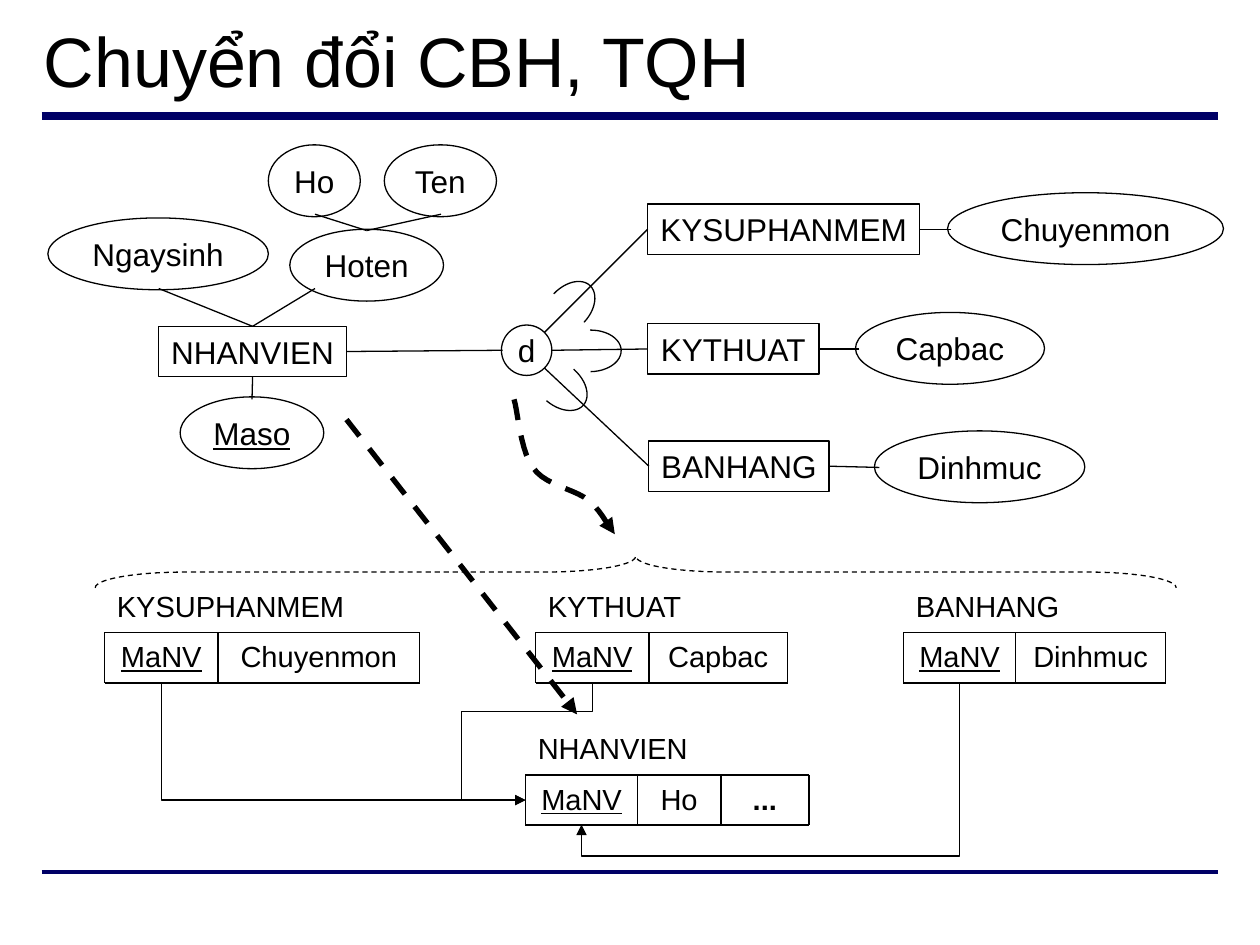
from lxml import etree
from pptx import Presentation
from pptx.dml.color import RGBColor
from pptx.enum.dml import MSO_LINE
from pptx.enum.shapes import MSO_CONNECTOR, MSO_SHAPE
from pptx.enum.text import MSO_ANCHOR, PP_ALIGN
from pptx.oxml.ns import qn
from pptx.util import Inches, Pt

BLACK = RGBColor(0, 0, 0)
WHITE = RGBColor(255, 255, 255)
NAVY = RGBColor(0, 0, 0x66)
DASH = MSO_LINE.DASH
STRAIGHT, ELBOW = MSO_CONNECTOR.STRAIGHT, MSO_CONNECTOR.ELBOW
RECTANGLE, OVAL = MSO_SHAPE.RECTANGLE, MSO_SHAPE.OVAL
ARC, BRACE = MSO_SHAPE.ARC, MSO_SHAPE.LEFT_BRACE
TOP, MIDDLE = MSO_ANCHOR.TOP, MSO_ANCHOR.MIDDLE
LEFT, CENTER = PP_ALIGN.LEFT, PP_ALIGN.CENTER
SIDE_TOP, SIDE_LEFT, SIDE_BOTTOM, SIDE_RIGHT = range(4)

presentation = Presentation()
presentation.slide_width = Inches(10)
presentation.slide_height = Inches(7.5)
slide = presentation.slides.add_slide(presentation.slide_layouts[6])
shapes = slide.shapes
COLUMN = presentation.slide_width / 100
ROW = presentation.slide_height / 75


def write(shape, text, size, align=CENTER, anchor=MIDDLE, wrap=True, underline=None, bold=None):
    frame = shape.text_frame
    frame.word_wrap = wrap
    frame.vertical_anchor = anchor
    paragraph = frame.paragraphs[0]
    paragraph.alignment = align
    run = paragraph.add_run()
    run.text = text
    style = {"name": "Arial", "size": Pt(size), "underline": underline, "bold": bold}
    for attribute, value in style.items():
        setattr(run.font, attribute, value)
    run.font.color.rgb = BLACK


def outline(shape, width, color=BLACK, dash=None, arrow=False):
    shape.line.color.rgb = color
    shape.line.width = Pt(width)
    if dash:
        shape.line.dash_style = dash
    properties = shape._element.spPr
    if arrow:
        etree.SubElement(properties.find(qn("a:ln")), qn("a:tailEnd"), type="triangle")
    etree.SubElement(properties, qn("a:effectLst"))


title = shapes.add_textbox(*(round(v) for v in (2.5 * COLUMN, 1.8 * ROW, 95 * COLUMN, 5.8 * ROW)))
write(title, "Chuyển đổi CBH, TQH", 40, align=LEFT)

nodes = {}
for kind, text, left, top, width, height in [
    (RECTANGLE, "BANHANG", 51.5, 35, 14.3, 4),
    (OVAL, "Dinhmuc", 69.4, 34.2, 16.7, 5.7),
    (RECTANGLE, "KYTHUAT", 51.4, 25.7, 13.6, 4),
    (OVAL, "Capbac", 67.9, 24.8, 15, 5.7),
    (RECTANGLE, "KYSUPHANMEM", 51.4, 16.2, 21.6, 4),
    (OVAL, "Chuyenmon", 75.2, 15.3, 21.9, 5.7),
    (OVAL, "d", 39.8, 25.8, 4, 4),
    (RECTANGLE, "NHANVIEN", 12.6, 25.9, 14.9, 4),
    (OVAL, "Hoten", 23, 18.2, 12.2, 5.7),
    (OVAL, "Ho", 21.3, 11.5, 7.3, 5.7),
    (OVAL, "Ten", 30.5, 11.5, 8.9, 5.7),
    (OVAL, "Ngaysinh", 3.8, 17.3, 17.5, 5.7),
    (OVAL, "Maso", 14.3, 31.5, 11.4, 5.7),
]:
    node = shapes.add_shape(
        kind, round(left * COLUMN), round(top * ROW), round(width * COLUMN), round(height * ROW))
    if text == "d":
        node.fill.background()
    else:
        node.fill.solid()
        node.fill.fore_color.rgb = WHITE
    outline(node, 0.75)
    write(node, text, 18, wrap=False, underline=(text == "Maso") or None)
    nodes[text] = node

thin = {"width": 0.75}
lines = [
    ((3.3, 9.2), (96.7, 9.2), {"width": 4.5, "color": NAVY}),
    ((3.3, 69.2), (96.7, 69.2), {"width": 2.25, "color": NAVY}),
    ((69.8, 37.1), ("BANHANG", SIDE_RIGHT), thin),
    ((68.2, 27.7), ("KYTHUAT", SIDE_RIGHT), thin),
    ((75.5, 18.2), ("KYSUPHANMEM", SIDE_RIGHT), thin),
    ((25, 22.9), ("NHANVIEN", SIDE_TOP), thin),
    ((12.6, 22.9), ("NHANVIEN", SIDE_TOP), thin),
    ((20, 31.7), ("NHANVIEN", SIDE_BOTTOM), thin),
    ((25, 17), (29.1, 18.3), thin),
    ((35, 17), (29.1, 18.3), thin),
    (("NHANVIEN", SIDE_RIGHT), (39.9, 27.8), thin),
    ((43.2, 29.2), ("BANHANG", SIDE_LEFT), thin),
    ((43.8, 27.8), ("KYTHUAT", SIDE_LEFT), thin),
    ((43.2, 26.4), ("KYSUPHANMEM", SIDE_LEFT), thin),
    ((27.5, 33.3), (45.8, 56.7), {"width": 3, "dash": DASH, "arrow": True}),
]

for name, top, edges, cells in [
    ("NHANVIEN", 61.5, (41.7, 50.6, 57.2, 64.2), ("MaNV", "Ho", "...")),
    ("KYSUPHANMEM", 50.2, (8.3, 17.3, 33.3), ("MaNV", "Chuyenmon")),
    ("KYTHUAT", 50.2, (42.5, 51.5, 62.5), ("MaNV", "Capbac")),
    ("BANHANG", 50.2, (71.7, 80.6, 92.5), ("MaNV", "Dinhmuc")),
]:
    boxes = [(name, edges[0], edges[-1], top - 4, LEFT)]
    boxes += [(text, *span, top, CENTER) for text, span in zip(cells, zip(edges, edges[1:]))]
    for text, left, right, box_top, align in boxes:
        box = shapes.add_textbox(
            round(left * COLUMN), round(box_top * ROW),
            round((right - left) * COLUMN), round(4 * ROW))
        write(box, text, 16.6, align=align, anchor=TOP,
              underline=(text == "MaNV") or None, bold=(text == "...") or None)
    lines += [((edges[0], y), (edges[-1], y), {"width": 1}) for y in (top, top + 4)]
    lines += [((x, top), (x, top + 4), {"width": 1}) for x in edges]

for begin, end, style in lines:
    connector = shapes.add_connector(STRAIGHT, 0, 0, 0, 0)
    if isinstance(begin[0], str):
        connector.begin_connect(nodes[begin[0]], begin[1])
    else:
        connector.begin_x, connector.begin_y = round(begin[0] * COLUMN), round(begin[1] * ROW)
    if isinstance(end[0], str):
        connector.end_connect(nodes[end[0]], end[1])
    else:
        connector.end_x, connector.end_y = round(end[0] * COLUMN), round(end[1] * ROW)
    outline(connector, **style)

for preset, left, top, width, height, rotation, flipped, bends in [
    ("bentConnector2", 22.6, 44.4, 9.3, 28.9, 270, True, ()),
    ("bentConnector4", 39.7, 56.2, 9.3, 5.3, 90, False, (24600, 195400)),
    ("bentConnector3", 55.5, 44.8, 11.3, 30, 90, False, (122100,)),
]:
    near, far = round(left * COLUMN), round((left + width) * COLUMN)
    if flipped:
        near, far = far, near
    elbow = shapes.add_connector(ELBOW, near, round(top * ROW), far, round((top + height) * ROW))
    properties = elbow._element.spPr
    properties.find(qn("a:xfrm")).set("rot", str(rotation * 60000))
    geometry = properties.find(qn("a:prstGeom"))
    geometry.set("prst", preset)
    guides = geometry.find(qn("a:avLst"))
    if guides is None:
        guides = etree.SubElement(geometry, qn("a:avLst"))
    for number, bend in enumerate(bends, 1):
        guide_name = "adj" if preset == "bentConnector2" else f"adj{number}"
        etree.SubElement(guides, qn("a:gd"), name=guide_name, fmla=f"val {bend}")
    outline(elbow, 0.75, arrow=True)

for kind, left, top, width, height, rotation, adjustments, dash in [
    (ARC, 42.8, 28.1, 3.3, 4.9, 130.7, (108, 0), None),
    (ARC, 45.2, 25.4, 3.3, 4.9, 89.2, (108, 0), None),
    (ARC, 43.5, 22, 3.3, 4.9, 43.2, (108, 0), None),
    (BRACE, 49.2, 2.5, 2.5, 85.8, 90, (2.86, 0.5), DASH),
]:
    curve = shapes.add_shape(
        kind, round(left * COLUMN), round(top * ROW), round(width * COLUMN), round(height * ROW))
    curve.rotation = rotation
    for index, adjustment in enumerate(adjustments):
        curve.adjustments[index] = adjustment
    curve.fill.background()
    outline(curve, 0.75, dash=dash)

STEPS = 10
knots = [(40.8, 31.7), (41.1, 32.6), (41.3, 35.8), (42.3, 37.1), (43.2, 38.5),
         (45.6, 38.8), (46.7, 39.7), (47.8, 40.6), (48.3, 41.9), (48.8, 42.4)]
points = []
for start in range(0, len(knots) - 1, 3):
    for step in range(1, STEPS + 1):
        t = step / STEPS
        weights = ((1 - t) ** 3, 3 * t * (1 - t) ** 2, 3 * t ** 2 * (1 - t), t ** 3)
        x, y = (sum(w * knot[axis] for w, knot in zip(weights, knots[start:start + 4]))
                for axis in (0, 1))
        points.append((round(x * COLUMN), round(y * ROW)))
builder = shapes.build_freeform(round(knots[0][0] * COLUMN), round(knots[0][1] * ROW))
builder.add_line_segments(points, close=False)
curved_arrow = builder.convert_to_shape()
curved_arrow.fill.background()
outline(curved_arrow, 3, dash=DASH, arrow=True)

presentation.save("out.pptx")
